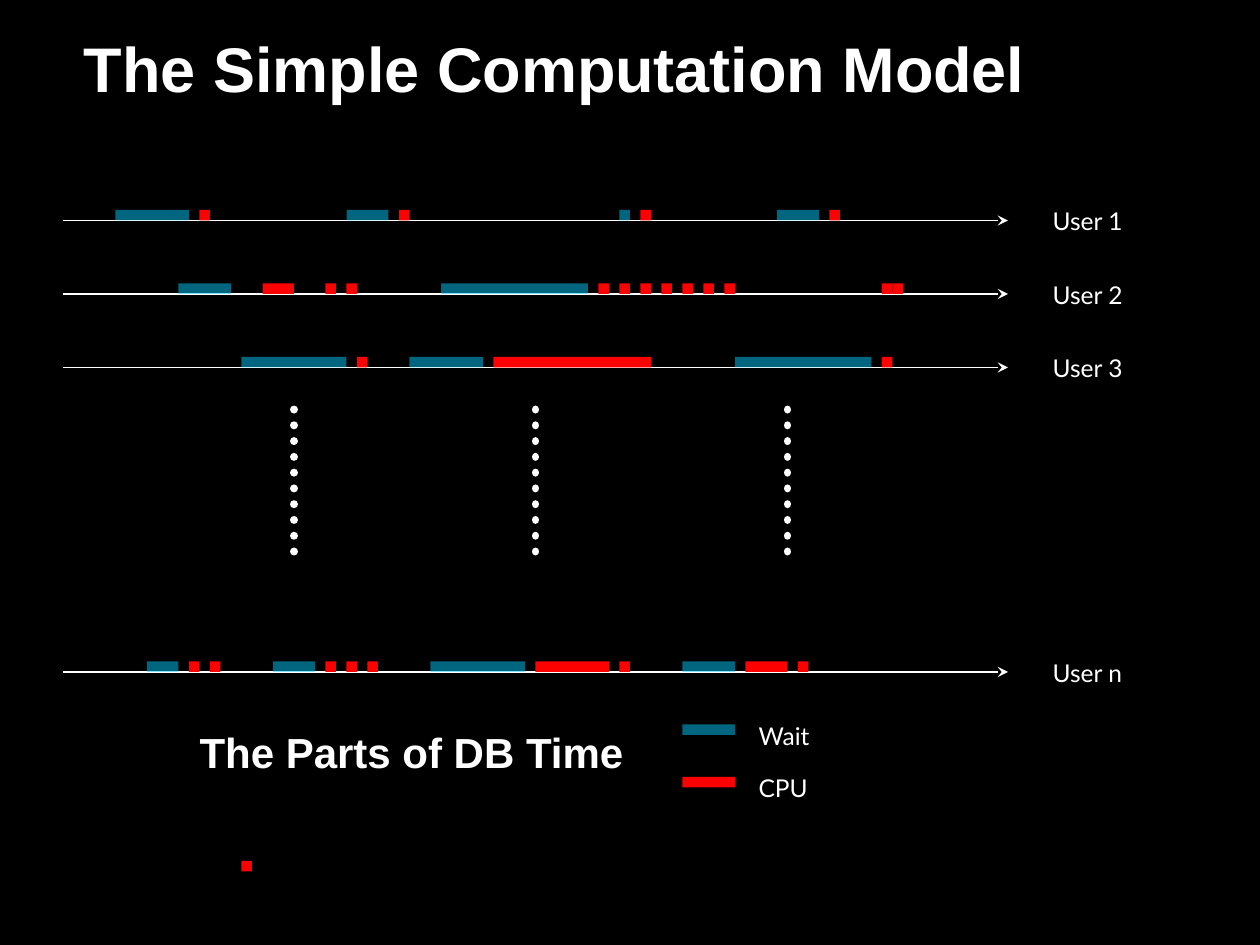
from dataclasses import dataclass

from lxml import etree
from pptx import Presentation
from pptx.dml.color import RGBColor
from pptx.enum.dml import MSO_LINE
from pptx.enum.shapes import MSO_CONNECTOR, MSO_SHAPE
from pptx.enum.text import MSO_ANCHOR, MSO_AUTO_SIZE, PP_ALIGN
from pptx.oxml.ns import qn
from pptx.util import Pt

PX = 9525  # EMU per px, 96 px to the inch
CELL = 8  # time grid step and bar height, px
RECT, STRAIGHT = MSO_SHAPE.RECTANGLE, MSO_CONNECTOR.STRAIGHT
MIDDLE, TOP, LEFT = MSO_ANCHOR.MIDDLE, MSO_ANCHOR.TOP, PP_ALIGN.LEFT
NO_FIT, ROUND_DOT = MSO_AUTO_SIZE.NONE, MSO_LINE.ROUND_DOT
BLACK, WHITE, WAIT, CPU = "000000", "FFFFFF", "00CCFF", "FD0000"
WAIT_ALPHA = 50000
AXIS_LEFT, AXIS_RIGHT = 48, 768

HEADING = {"name": "Arial", "bold": True}
LABEL = {"name": "Lato", "size": Pt(14), "bold": False}


@dataclass
class Timeline:
    user: str
    axis_y: int
    waits: list[tuple[int, int]]  # (start, length) in grid cells
    cpus: list[tuple[int, int]]


def ticks(*starts: int) -> list[tuple[int, int]]:
    """CPU bursts that last one cell each."""
    return [(start, 1) for start in starts]


TIMELINES = [
    Timeline("User 1", 168, [(11, 7), (33, 4), (59, 1), (74, 4)],
             ticks(19, 38, 61, 79)),
    Timeline("User 2", 224, [(17, 5), (42, 14)],
             [(25, 3)] + ticks(31, 33, *range(57, 70, 2), 84, 85)),
    Timeline("User 3", 280, [(23, 10), (39, 7), (70, 13)],
             [(47, 15)] + ticks(34, 84)),
    Timeline("User n", 512, [(14, 3), (26, 4), (41, 9), (65, 5)],
             [(51, 7), (71, 4)] + ticks(18, 20, 31, 33, 35, 59, 76)),
]


def rgb(color: str) -> RGBColor:
    return RGBColor.from_string(color)


def set_all(target, values: dict) -> None:
    for attribute, value in values.items():
        setattr(target, attribute, value)


def write(shape, text: str, font: dict, margins: tuple[int, int] = (0, 0),
          anchor=MIDDLE, **spacing) -> None:
    across, down = (margin * PX for margin in margins)
    frame = shape.text_frame
    set_all(frame, {"word_wrap": True, "auto_size": NO_FIT,
                    "vertical_anchor": anchor,
                    "margin_left": across, "margin_right": across,
                    "margin_top": down, "margin_bottom": down})
    paragraph = frame.paragraphs[0]
    set_all(paragraph, {"alignment": LEFT, **spacing})
    run = paragraph.add_run()
    run.text = text
    set_all(run.font, font)
    run.font.color.rgb = rgb(WHITE)


def add_box(slide, left: int, top: int, width: int, height: int):
    return slide.shapes.add_textbox(left * PX, top * PX, width * PX, height * PX)


def add_label(slide, text: str, left: int, top: int, width: int) -> None:
    write(add_box(slide, left, top, width, 33), text, LABEL, (10, 5), TOP,
          space_before=Pt(8.8))


def add_bar(slide, start: int, length: int, top: int, color: str) -> None:
    bar = slide.shapes.add_shape(RECT, start * CELL * PX, top * PX,
                                 length * CELL * PX, CELL * PX)
    bar.shadow.inherit = False
    bar.fill.solid()
    bar.fill.fore_color.rgb = rgb(color)
    bar.line.fill.background()
    if color == WAIT:
        tint = bar.fill._xPr.find(".//" + qn("a:srgbClr"))
        etree.SubElement(tint, qn("a:alpha"), val=str(WAIT_ALPHA))


def add_line(slide, x1: int, y1: int, x2: int, y2: int, weight: float):
    connector = slide.shapes.add_connector(STRAIGHT, x1 * PX, y1 * PX,
                                           x2 * PX, y2 * PX)
    connector.line.color.rgb = rgb(WHITE)
    connector.line.width = Pt(weight)
    etree.SubElement(connector._element.spPr, qn("a:effectLst"))
    return connector


def add_timeline(slide, timeline: Timeline) -> None:
    y = timeline.axis_y
    axis = add_line(slide, AXIS_LEFT, y, AXIS_RIGHT, y, 1)
    etree.SubElement(axis.line._get_or_add_ln(), qn("a:tailEnd"), type="stealth")
    add_label(slide, timeline.user, 792, y - 16, 80)
    for color, spans in ((WAIT, timeline.waits), (CPU, timeline.cpus)):
        for start, length in spans:
            add_bar(slide, start, length, y - CELL, color)


def add_ellipsis(slide, x: int) -> None:
    dots = add_line(slide, x, 312, x, 424, 4.5)
    dots.line.dash_style = ROUND_DOT
    dots.line._get_or_add_ln().set("cap", "rnd")


def main() -> None:
    deck = Presentation()
    set_all(deck, {"slide_width": 960 * PX, "slide_height": 720 * PX})
    slide = deck.slides.add_slide(deck.slide_layouts[5])
    slide.background.fill.solid()
    slide.background.fill.fore_color.rgb = rgb(BLACK)

    # Title
    title = slide.shapes.title
    set_all(title, {"left": 64 * PX, "top": 0,
                    "width": 784 * PX, "height": 112 * PX})
    write(title, "The Simple Computation Model", {**HEADING, "size": Pt(36)},
          line_spacing=0.85)

    # User timelines, with dots for the users in between
    for timeline in TIMELINES:
        add_timeline(slide, timeline)
    for x in (224, 408, 600):
        add_ellipsis(slide, x)

    # Legend
    for name, color, top, width in (("Wait", WAIT, 552, 256),
                                    ("CPU", CPU, 592, 392)):
        add_bar(slide, 65, 5, top, color)
        add_label(slide, name, 568, top - 8, width)

    # Single CPU burst below the timelines
    add_bar(slide, 23, 1, 656, CPU)

    # Caption
    write(add_box(slide, 152, 536, 352, 80), "The Parts of DB Time",
          {**HEADING, "size": Pt(24)}, line_spacing=0.85)

    deck.save("out.pptx")


if __name__ == "__main__":
    main()
